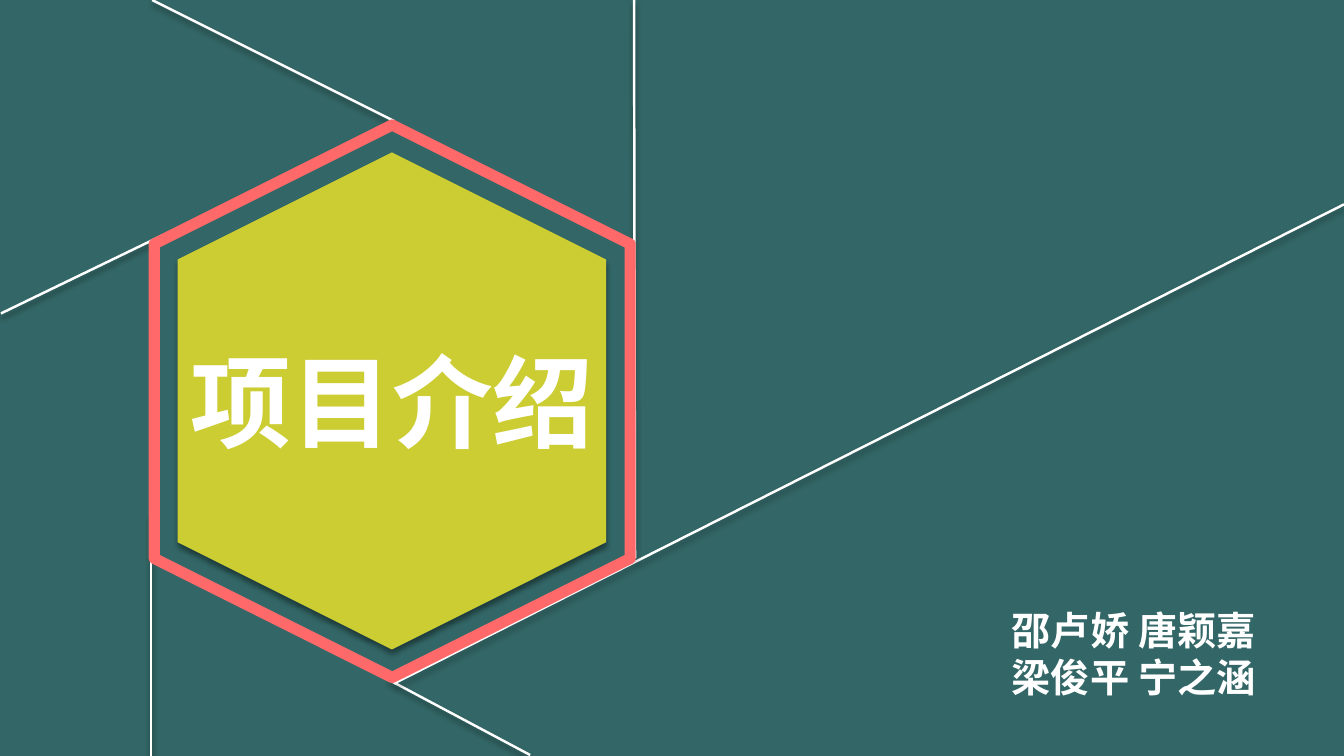
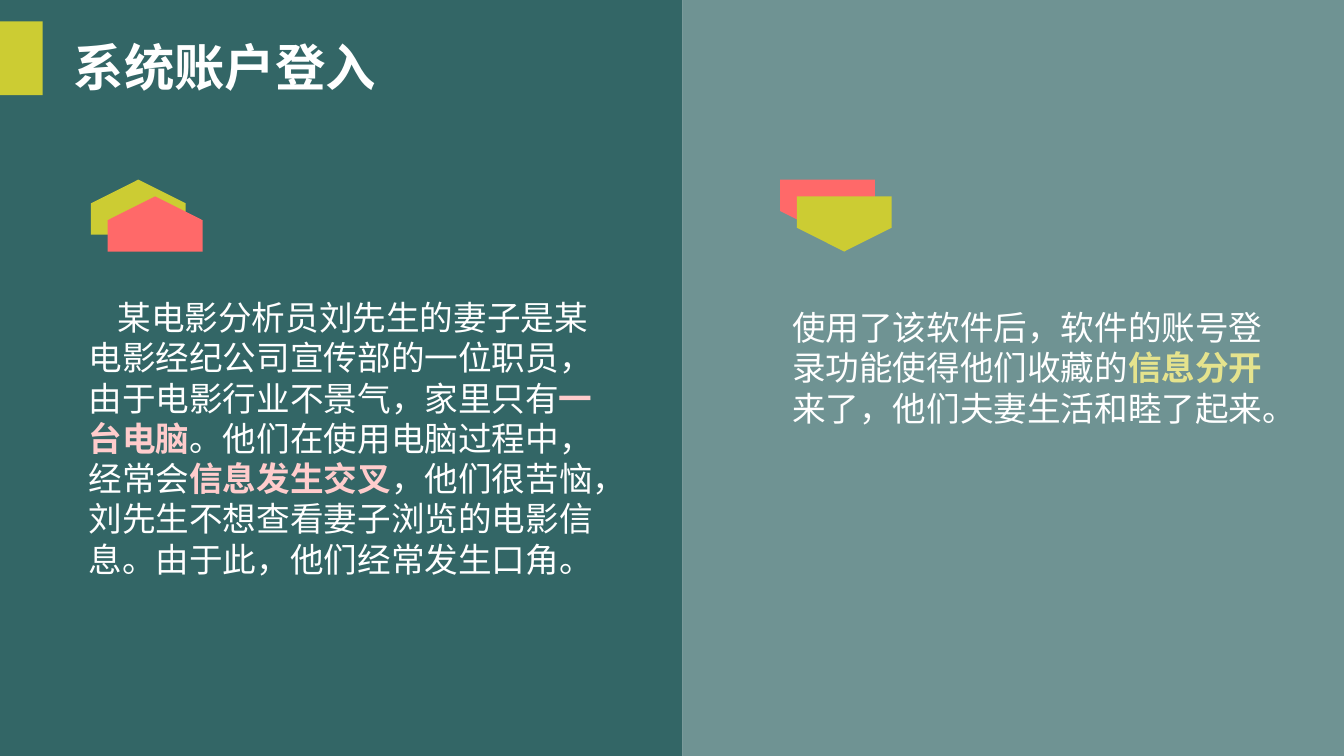
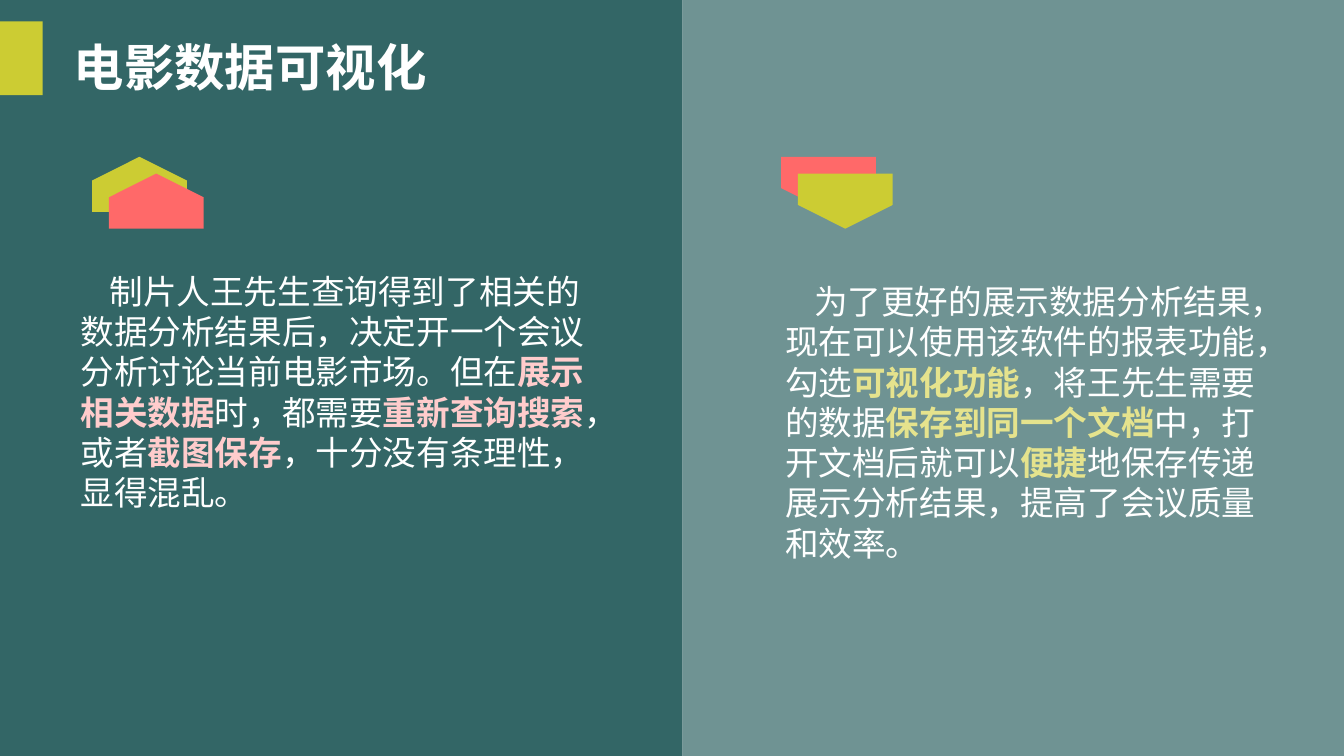
from dataclasses import dataclass

from lxml import etree
from pptx import Presentation
from pptx.dml.color import RGBColor
from pptx.enum.shapes import MSO_CONNECTOR, MSO_SHAPE
from pptx.oxml import ns
from pptx.util import Pt

COLORS = {
    "teal": "336666",
    "lime": "CCCC33",
    "coral": "FF6969",
    "white": "FFFFFF",
    "pink": "FFCCCC",
    "straw": "E5E38D",
}
CJK = "Noto Sans CJK SC"
WIDTH, HEIGHT = 960, 540
SPLIT = 487.4
BADGE_W, BADGE_H, BADGE_BASE, BADGE_STEP = 67.7, 39.4, 22.4, 12


@dataclass(frozen=True)
class Box:
    left: float
    top: float
    width: float
    height: float

    def lengths(self):
        return Pt(self.left), Pt(self.top), Pt(self.width), Pt(self.height)


@dataclass(frozen=True)
class Style:
    size: float
    spacing: float
    font: str = CJK
    bold: bool = False
    accent: str = "white"
    indent: float = 0


@dataclass(frozen=True)
class Story:
    """One half of a comparison; asterisks enclose the emphasised words."""
    box: Box
    text: str
    indent: float = 0


@dataclass(frozen=True)
class Comparison:
    title: str
    badge_left: float
    badge_top: float
    problem: Story
    solution: Story


COVER_TITLE = Style(72, 87, "Roboto Condensed", True)
COVER_NAMES = Style(28, 32.9, bold=True)
SLIDE_TITLE = Style(36, 44, "Arial", True)

COVER_LINES = [
    ((277.2, 485.3), (378.7, 539.3)),
    ((281.5, 488.2), (WIDTH, 146)),
    ((452.9, 0), (453.6, 398.9)),
    ((108.7, 0), (281.5, 86.4)),
    ((108, 367.2), (108, HEIGHT)),
    ((0.7, 223.9), (137.5, 157.7)),
]

COMPARISONS = [
    Comparison(
        "系统账户登入", 65, 128.3,
        Story(
            Box(56.2, 208.7, 375.1, 239.8),
            "某电影分析员刘先生的妻子是某电影经纪公司宣传部的一位职员，由于电影行业不景气，"
            "家里只有*一台电脑*。他们在使用电脑过程中，经常会*信息发生交叉*，他们很苦恼，"
            "刘先生不想查看妻子浏览的电影信息。由于此，他们经常发生口角。", 20.7),
        Story(
            Box(558.7, 215.9, 356.4, 113.8),
            "使用了该软件后，软件的账号登录功能使得他们收藏的*信息分开*来了，"
            "他们夫妻生活和睦了起来。"),
    ),
    Comparison(
        "电影数据可视化", 65.8, 112,
        Story(
            Box(50.4, 190, 375.1, 181.4),
            "制片人王先生查询得到了相关的数据分析结果后，决定开一个会议分析讨论当前电影市场。"
            "但在*展示相关数据*时，都需要*重新查询搜索*，或者*截图保存*，"
            "十分没有条理性，显得混乱。", 20.7),
        Story(
            Box(553.7, 197.2, 356.4, 208.2),
            "为了更好的展示数据分析结果，现在可以使用该软件的报表功能，勾选*可视化功能*，"
            "将王先生需要的数据*保存到同一个文档*中，打开文档后就可以*便捷*地保存传递"
            "展示分析结果，提高了会议质量和效率。", 20.7),
    ),
]


def rgb(name: str) -> RGBColor:
    return RGBColor.from_string(COLORS[name])


def paint(sp, color: str) -> None:
    """Give a shape a flat fill without outline or shadow."""
    sp.fill.solid()
    sp.fill.fore_color.rgb = rgb(color)
    sp.line.fill.background()
    sp.shadow.inherit = False


def add_block(s, kind, box: Box, color: str):
    sp = s.shapes.add_shape(kind, *box.lengths())
    paint(sp, color)
    return sp


def add_soft_shadow(sp) -> None:
    props = sp._element.spPr
    effects = props.find(ns.qn("a:effectLst"))
    if effects is None:
        effects = etree.SubElement(props, ns.qn("a:effectLst"))
    shadow = etree.SubElement(
        effects, ns.qn("a:outerShdw"), blurRad=str(Pt(4)), dist=str(Pt(3)),
        dir="5400000", algn="t", rotWithShape="0")
    black = etree.SubElement(shadow, ns.qn("a:srgbClr"), val="000000")
    etree.SubElement(black, ns.qn("a:alpha"), val="40000")


def add_text(s, box: Box, text: str, style: Style) -> None:
    tf = s.shapes.add_textbox(*box.lengths()).text_frame
    tf.word_wrap = True
    tf.text = text.replace("*", "")
    for p, line in zip(tf.paragraphs, text.split("\n")):
        p.line_spacing = Pt(style.spacing)
        if style.indent:
            p._p.get_or_add_pPr().set("indent", str(Pt(style.indent)))
        parts = line.split("*")
        p.runs[0].text = parts[0]
        for part in parts[1:]:
            p.add_run().text = part
        for i, r in enumerate(p.runs):
            emphasised = i % 2 == 1
            r.font.size = Pt(style.size)
            r.font.name = style.font
            r.font.bold = style.bold or emphasised
            r.font.color.rgb = rgb(style.accent if emphasised else "white")
            etree.SubElement(r._r.get_or_add_rPr(), ns.qn("a:ea"), typeface=CJK)


def add_badge(s, left: float, top: float, colors: tuple[str, str], up: bool) -> None:
    """Draw two overlapping pentagons that point up or down."""
    outline = [(0, 0), (BADGE_W, 0), (BADGE_W, BADGE_BASE),
               (BADGE_W / 2, BADGE_H), (0, BADGE_BASE)]
    for i, color in enumerate(colors):
        x0, y0 = left + i * BADGE_STEP, top + i * BADGE_STEP
        points = [(Pt(x0 + x), Pt(y0 + (BADGE_H - y if up else y))) for x, y in outline]
        builder = s.shapes.build_freeform(*points[0])
        builder.add_line_segments(points[1:], close=True)
        paint(builder.convert_to_shape(), color)


def add_cover(s) -> None:
    s.background.fill.solid()
    s.background.fill.fore_color.rgb = rgb("teal")
    for start, end in COVER_LINES:
        line = s.shapes.add_connector(
            MSO_CONNECTOR.STRAIGHT, *(Pt(v) for v in start + end))
        line.line.color.rgb = rgb("white")
        line.line.width = Pt(1.75)
        add_soft_shadow(line)

    core = add_block(s, MSO_SHAPE.HEXAGON, Box(102.4, 133.4, 355, 306), "lime")
    core.rotation = 90
    add_soft_shadow(core)
    add_text(s, Box(129, 238.6, 305.2, 94.3), "项目介绍", COVER_TITLE)

    frame = s.shapes.add_shape(MSO_SHAPE.HEXAGON, *Box(82.8, 116.6, 394.6, 340).lengths())
    frame.rotation = 90
    frame.fill.background()
    frame.line.color.rgb = rgb("coral")
    frame.line.width = Pt(8)
    frame.shadow.inherit = False
    add_text(s, Box(715.7, 430.6, 213.8, 74.9), "邵卢娇 唐颖嘉\n梁俊平 宁之涵", COVER_NAMES)


def add_comparison(s, c: Comparison) -> None:
    right = add_block(s, MSO_SHAPE.RECTANGLE, Box(SPLIT, 0, WIDTH - SPLIT, HEIGHT), "teal")
    fill = right._element.spPr.find(ns.qn("a:solidFill"))
    etree.SubElement(fill[0], ns.qn("a:alpha"), val="70000")
    add_block(s, MSO_SHAPE.RECTANGLE, Box(0, 0, SPLIT, HEIGHT), "teal")
    add_block(s, MSO_SHAPE.RECTANGLE, Box(0, 15.2, 30.5, 52.8), "lime")

    title_width = len(c.title) * SLIDE_TITLE.size + 18
    add_text(s, Box(45.5, 21.6, title_width, 51.1), c.title, SLIDE_TITLE)
    add_badge(s, c.badge_left, c.badge_top, ("lime", "coral"), up=True)
    add_badge(s, c.badge_left + 492.2, c.badge_top, ("coral", "lime"), up=False)
    for story, accent in ((c.problem, "pink"), (c.solution, "straw")):
        add_text(s, story.box, story.text,
                 Style(24, 28.75, accent=accent, indent=story.indent))


def main() -> None:
    prs = Presentation()
    prs.slide_width, prs.slide_height = Pt(WIDTH), Pt(HEIGHT)
    blank = prs.slide_layouts[6]
    add_cover(prs.slides.add_slide(blank))
    for comparison in COMPARISONS:
        add_comparison(prs.slides.add_slide(blank), comparison)
    prs.save("out.pptx")


if __name__ == "__main__":
    main()
